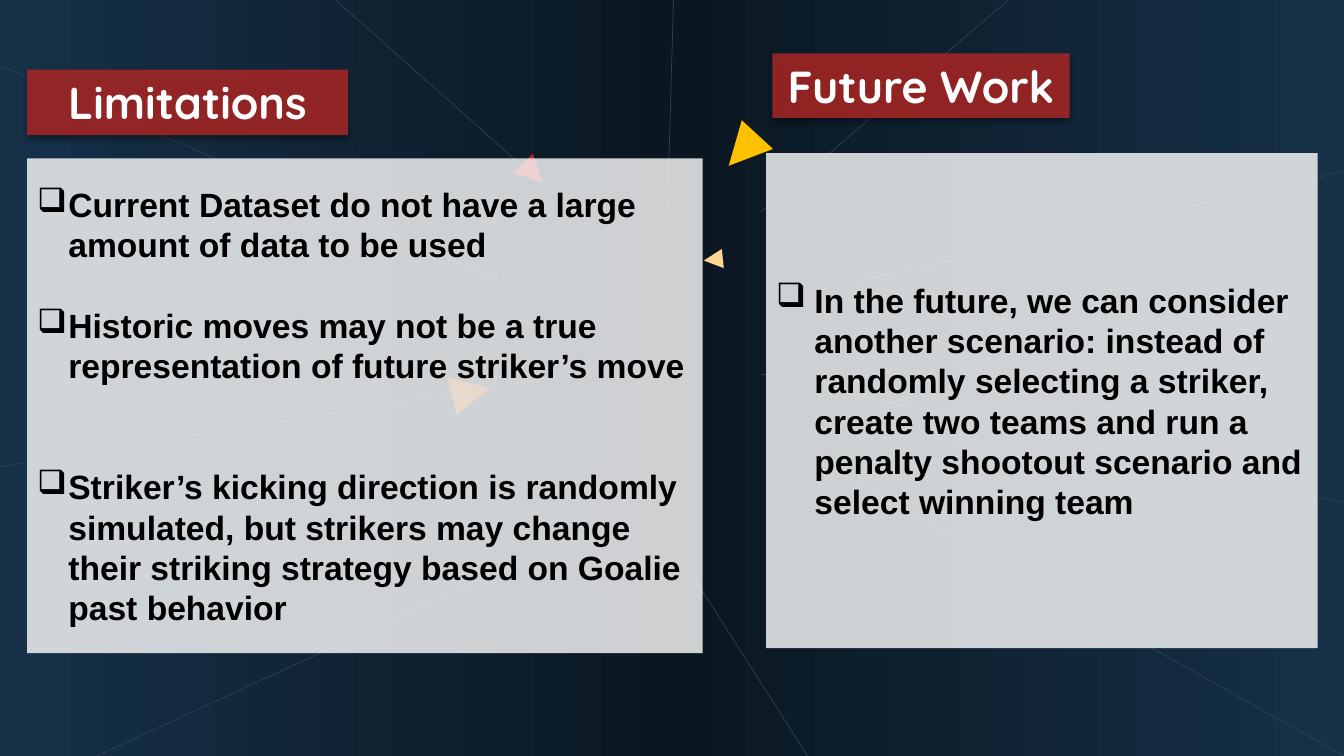
from lxml.etree import SubElement
from pptx import Presentation
from pptx.dml.color import RGBColor
from pptx.enum.shapes import MSO_CONNECTOR, MSO_SHAPE
from pptx.enum.text import MSO_ANCHOR, PP_ALIGN
from pptx.oxml.ns import qn
from pptx.util import Inches, Pt


class Theme:
    night, midnight, web = "163048", "0A1721", "333F50"
    red, white, black = "B12725", "FFFFFF", "000000"
    brown, cream, amber = "8B4607", "FED593", "FFC000"
    title_font, body_font = "Quicksand", "Arial"
    title_size, body_size, line_pitch = 32, 24, 28.8
    title_opacity, panel_opacity, shadow_opacity = 81, 80, 40


# Content: each point is (blank lines above, text)
SECTIONS = [
    dict(title="Limitations", title_at=(0.27, 0.69, 3.18, 0.65),
         panel_at=(0.27, 1.57, 6.7, 4.91), indent=0.31, points=[
             (0, "Current Dataset do not have a large amount of data to be used"),
             (1, "Historic moves may not be a true representation of future "
                 "striker’s move"),
             (2, "Striker’s kicking direction is randomly simulated, but strikers "
                 "may change their striking strategy based on Goalie past behavior"),
         ]),
    dict(title="Future Work", title_at=(7.66, 0.53, 2.95, 0.64),
         panel_at=(7.6, 1.52, 5.47, 4.91), indent=0.38, points=[
             (0, "In the future, we can consider another scenario: instead of "
                 "randomly selecting a striker, create two teams and run a penalty "
                 "shootout scenario and select winning team"),
         ]),
]

# Background web: start x, start y, end x, end y
WEB_LINES = [
    (6.68, 0, 6.62, 2.1), (0, 0.65, 5.22, 2.9), (0.96, 7.5, 5.69, 5.32),
    (7.55, 3.71, 13.33, 4.99), (8.01, 4.51, 13.33, 7.5), (8.02, 2.9, 13.33, 1.7),
    (3.33, 0, 5.69, 2.1), (7.55, 2.1, 10, 0), (0, 4.63, 5.68, 3.71),
    (6.62, 5.32, 8.01, 7.5),
]

# Triangles: left, top, side, rotation, colour
TRIANGLES = [
    (4.48, 3.7, 0.38, 77, Theme.brown), (6.98, 2.48, 0.19, 264.1, Theme.cream),
    (7.16, 1.28, 0.42, 222.6, Theme.amber), (5.15, 1.58, 0.27, 135, Theme.red),
]


def rgb(colour):
    return RGBColor.from_string(colour)


def set_opacity(colour_element, percent):
    SubElement(colour_element, qn("a:alpha"), val=str(percent * 1000))


def add_block(page, kind, at, colour=None, opacity=100):
    block = page.shapes.add_shape(kind, *map(Inches, at))
    block.shadow.inherit = False
    block.line.fill.background()
    if colour:
        block.fill.solid()
        block.fill.fore_color.rgb = rgb(colour)
        if opacity < 100:
            set_opacity(block._element.spPr.find(f".//{qn('a:srgbClr')}"), opacity)
    return block


def add_gradient(page, at, colours):
    half = add_block(page, MSO_SHAPE.RECTANGLE, at)
    half.fill.gradient()
    half.fill.gradient_angle = 0
    for stop, colour in zip(half.fill.gradient_stops, colours):
        stop.color.rgb = rgb(colour)


def add_web_line(page, ends):
    line = page.shapes.add_connector(MSO_CONNECTOR.STRAIGHT, *map(Inches, ends))
    line.line.color.rgb = rgb(Theme.web)
    line.line.width = Pt(0.5)
    SubElement(line._element.spPr, qn("a:effectLst"))


def add_drop_shadow(block):
    effects = block._element.spPr.find(qn("a:effectLst"))
    shadow = SubElement(effects, qn("a:outerShdw"), blurRad=str(Pt(4)),
                        dist=str(Pt(3)), dir="5400000", algn="t", rotWithShape="0")
    set_opacity(SubElement(shadow, qn("a:srgbClr"), val=Theme.black),
                Theme.shadow_opacity)


def style_font(para, name, size, colour):
    font = para.font
    font.name, font.size, font.bold = name, Pt(size), True
    font.color.rgb = rgb(colour)


def add_title(page, text, at):
    box = add_block(page, MSO_SHAPE.RECTANGLE, at, Theme.red, Theme.title_opacity)
    add_drop_shadow(box)
    frame = box.text_frame
    frame.word_wrap = True
    frame.vertical_anchor = MSO_ANCHOR.TOP
    para = frame.paragraphs[0]
    para.text = text
    para.alignment = PP_ALIGN.CENTER
    style_font(para, Theme.title_font, Theme.title_size, Theme.white)


def add_bullet(para, indent):
    properties = para._p.get_or_add_pPr()
    properties.set("marL", str(Inches(indent)))
    properties.set("indent", str(-Inches(indent)))
    bullet = SubElement(properties, qn("a:buChar"), char="❑")
    properties.find(qn("a:defRPr")).addprevious(bullet)


def add_panel(page, points, at, indent):
    box = add_block(page, MSO_SHAPE.RECTANGLE, at, Theme.white, Theme.panel_opacity)
    frame = box.text_frame
    frame.word_wrap = True
    frame.vertical_anchor = MSO_ANCHOR.MIDDLE
    for index, (blank_lines, text) in enumerate(points):
        para = frame.add_paragraph() if index else frame.paragraphs[0]
        para.text = text
        para.alignment = PP_ALIGN.LEFT
        para.line_spacing = Pt(Theme.line_pitch)
        para.space_before = Pt(blank_lines * Theme.line_pitch)
        style_font(para, Theme.body_font, Theme.body_size, Theme.black)
        add_bullet(para, indent)


deck = Presentation()
deck.slide_width, deck.slide_height = Inches(13.33), Inches(7.5)
page = deck.slides.add_slide(deck.slide_layouts[6])

# Background: two mirrored gradients, darkest in the middle
add_gradient(page, (6.69, 0, 6.64, 7.5), (Theme.midnight, Theme.night))
add_gradient(page, (0, 0, 6.69, 7.5), (Theme.night, Theme.midnight))

# Decoration
for ends in WEB_LINES:
    add_web_line(page, ends)
for left, top, side, rotation, colour in TRIANGLES:
    triangle = add_block(page, MSO_SHAPE.ISOSCELES_TRIANGLE,
                         (left, top, side, side), colour)
    triangle.rotation = rotation

# Titles and panels
for section in SECTIONS:
    add_title(page, section["title"], section["title_at"])
    add_panel(page, section["points"], section["panel_at"], section["indent"])

deck.save("out.pptx")
